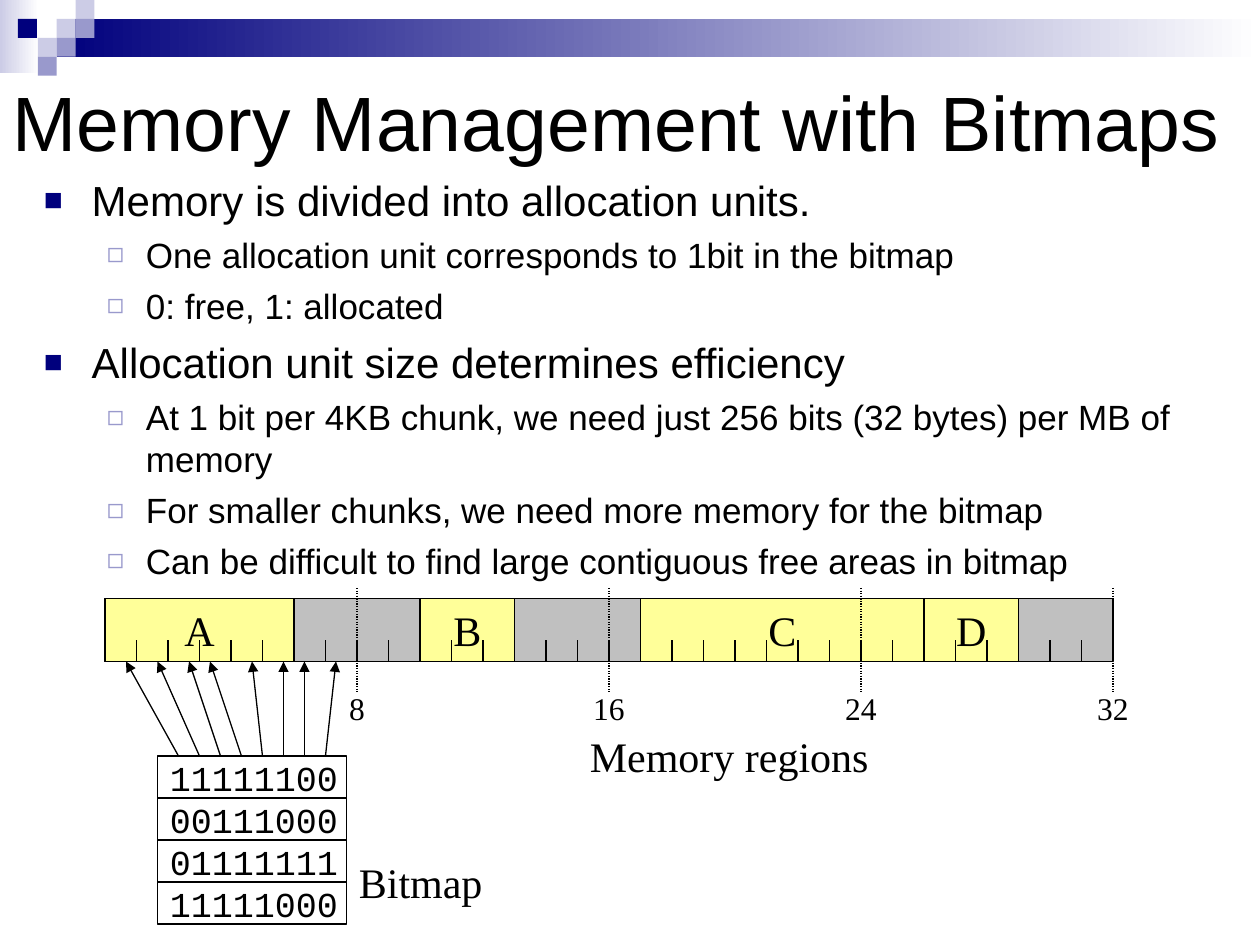
from dataclasses import dataclass

from lxml import etree
from pptx import Presentation
from pptx import util as u
from pptx.dml.color import RGBColor
from pptx.enum import dml, shapes, text
from pptx.oxml.ns import qn

COLUMNS, ROWS = 120, 90  # the slide grid: twelve cells to the inch
CELL = u.Inches(10) / COLUMNS


@dataclass(frozen=True)
class Theme:
    ink: str = "000000"
    paper: str = "FFFFFF"
    navy: str = "00007D"
    violet: str = "9999CC"
    lavender: str = "CCCCE6"
    used: str = "FFFF99"
    free: str = "C0C0C0"
    sans: str = "Arial"
    serif: str = "Times New Roman"
    mono: str = "Courier New"
    title: float = 44
    large: float = 24
    medium: float = 20
    small: float = 18
    line: float = 0.75


@dataclass(frozen=True)
class Box:
    left: float
    top: float
    width: float
    height: float

    def lengths(self) -> list[int]:
        return [round(n * CELL) for n in (self.left, self.top, self.width, self.height)]


@dataclass(frozen=True)
class Region:
    name: str
    start: int
    units: int


@dataclass(frozen=True)
class Level:
    bullet: str
    color: str
    percent: int
    size: float
    before: float
    margin: float
    hanging: float


THEME = Theme()
LEVELS = (
    Level("■", THEME.navy, 75, THEME.large, 6, 0.38, 0.38),
    Level("◻", THEME.violet, 80, THEME.medium, 5, 0.81, 0.31),
)
POINTS = (
    (0, "Memory is divided into allocation units."),
    (1, "One allocation unit corresponds to 1bit in the bitmap"),
    (1, "0: free, 1: allocated"),
    (0, "Allocation unit size determines efficiency"),
    (1, "At 1 bit per 4KB chunk, we need just 256 bits (32 bytes) per MB of memory"),
    (1, "For smaller chunks, we need more memory for the bitmap"),
    (1, "Can be difficult to find large contiguous free areas in bitmap"),
)
REGIONS = (Region("A", 0, 6), Region("B", 10, 3), Region("C", 17, 9), Region("D", 26, 3))
BITMAP = ("11111100", "00111000", "01111111", "11111000")
ARROW_TARGETS = (12, 15, 18, 20, 24, 27, 29, 32)

SQUARE = 1.8
HEADER_SQUARES = (  # column, row, colour
    (3, 1, THEME.lavender), (4, 0, THEME.lavender), (4, 1, THEME.violet),
    (2, 2, THEME.lavender), (0.95, 1, THEME.navy), (3, 2, THEME.violet),
    (2, 3, THEME.violet),
)
UNITS, UNIT, BYTE = 32, 3, 8
MEMORY = Box(10, 57, UNITS * UNIT, 6)
MEMORY_BOTTOM = MEMORY.top + MEMORY.height
BYTES = Box(15, 72, 18, 4)


def rgb(color: str) -> RGBColor:
    return RGBColor.from_string(color)


def set_font(paragraph, name: str, size: float) -> None:
    paragraph.font.name = name
    paragraph.font.size = u.Pt(size)
    paragraph.font.color.rgb = rgb(THEME.ink)


def add_rectangle(slide, box: Box, fill: str, fade: bool = False, outlined: bool = False):
    shape = slide.shapes.add_shape(shapes.MSO_SHAPE.RECTANGLE, *box.lengths())
    shape.shadow.inherit = False
    if fade:
        shape.fill.gradient()
        shape.fill.gradient_angle = 0
        for stop, color in zip(shape.fill.gradient_stops, (fill, THEME.paper)):
            stop.color.rgb = rgb(color)
    else:
        shape.fill.solid()
        shape.fill.fore_color.rgb = rgb(fill)
    if outlined:
        shape.line.color.rgb = rgb(THEME.ink)
        shape.line.width = u.Pt(THEME.line)
    else:
        shape.line.fill.background()
    return shape


def write(shape, words: str, font: str, size: float, centred: bool = False) -> None:
    shape.text_frame.word_wrap = False
    paragraph = shape.text_frame.paragraphs[0]
    paragraph.text = words
    paragraph.alignment = text.PP_ALIGN.CENTER if centred else text.PP_ALIGN.LEFT
    set_font(paragraph, font, size)


def add_label(slide, box: Box, words: str, size: float, centred: bool = False) -> None:
    write(slide.shapes.add_textbox(*box.lengths()), words, THEME.serif, size, centred)


def add_line(slide, start: tuple, end: tuple, dotted: bool = False, arrow: bool = False) -> None:
    ends = [round(n * CELL) for n in (*start, *end)]
    connector = slide.shapes.add_connector(shapes.MSO_CONNECTOR.STRAIGHT, *ends)
    connector.line.color.rgb = rgb(THEME.ink)
    connector.line.width = u.Pt(THEME.line)
    if dotted:
        connector.line.dash_style = dml.MSO_LINE.ROUND_DOT
    if arrow:
        etree.SubElement(connector.line._get_or_add_ln(), qn("a:tailEnd"), type="triangle")
    etree.SubElement(connector._element.spPr, qn("a:effectLst"))


def add_bullet(paragraph, level: Level) -> None:
    properties = paragraph._p.get_or_add_pPr()
    properties.set("marL", str(u.Inches(level.margin)))
    properties.set("indent", str(-u.Inches(level.hanging)))
    color = etree.SubElement(properties, qn("a:buClr"))
    etree.SubElement(color, qn("a:srgbClr"), val=level.color)
    etree.SubElement(properties, qn("a:buSzPct"), val=str(level.percent * 1000))
    etree.SubElement(properties, qn("a:buFont"), typeface=THEME.sans)
    etree.SubElement(properties, qn("a:buChar"), char=level.bullet)


def add_header(slide) -> None:
    add_rectangle(slide, Box(0, 0, 3.7, 7), THEME.lavender, fade=True)
    add_rectangle(slide, Box(3 * SQUARE, SQUARE, COLUMNS - 3 * SQUARE, 2 * SQUARE), THEME.navy, fade=True)
    for column, row, color in HEADER_SQUARES:
        add_rectangle(slide, Box(column * SQUARE, row * SQUARE, SQUARE, SQUARE), color)


def add_title(slide) -> None:
    title = slide.shapes.title
    title.left, title.top, title.width, title.height = Box(0, 6, COLUMNS, 11).lengths()
    write(title, "Memory Management with Bitmaps", THEME.sans, THEME.title)
    title.text_frame.word_wrap = True
    title.text_frame.auto_size = text.MSO_AUTO_SIZE.NONE
    title.text_frame.vertical_anchor = text.MSO_ANCHOR.MIDDLE


def add_points(slide) -> None:
    frame = slide.shapes.add_textbox(*Box(3, 16, 113, 42).lengths()).text_frame
    frame.word_wrap = True
    for index, (depth, words) in enumerate(POINTS):
        paragraph = frame.add_paragraph() if index else frame.paragraphs[0]
        level = LEVELS[depth]
        paragraph.text = words
        paragraph.level = depth
        add_bullet(paragraph, level)
        if index:
            paragraph.space_before = u.Pt(level.before)
        set_font(paragraph, THEME.sans, level.size)


def add_memory(slide) -> None:
    add_rectangle(slide, MEMORY, THEME.free, outlined=True)
    for region in REGIONS:
        box = Box(MEMORY.left + region.start * UNIT, MEMORY.top, region.units * UNIT, MEMORY.height)
        write(add_rectangle(slide, box, THEME.used, outlined=True), region.name, THEME.serif, THEME.large, True)
    for unit in range(1, UNITS + 1):
        x = MEMORY.left + unit * UNIT
        if unit < UNITS:
            add_line(slide, (x, MEMORY_BOTTOM - 2), (x, MEMORY_BOTTOM))
        if unit % BYTE == 0:
            add_line(slide, (x, MEMORY.top - 1), (x, MEMORY_BOTTOM + 3), dotted=True)
            add_label(slide, Box(x - 3, 65, 6, 4.8), str(unit), THEME.small, True)
    add_label(slide, Box(55, 69, 30, 6), "Memory regions", THEME.large)


def add_bitmap(slide) -> None:
    for row, bits in enumerate(BITMAP):
        box = Box(BYTES.left, BYTES.top + row * BYTES.height, BYTES.width, BYTES.height)
        write(add_rectangle(slide, box, THEME.paper, outlined=True), bits, THEME.mono, THEME.medium)
    for bit, target in enumerate(ARROW_TARGETS):
        add_line(slide, (BYTES.left + 2 * (bit + 1), BYTES.top), (target, MEMORY_BOTTOM), arrow=True)
    add_label(slide, Box(33, 81, 15, 6), "Bitmap", THEME.large)


def main() -> None:
    presentation = Presentation()
    presentation.slide_width, presentation.slide_height = round(COLUMNS * CELL), round(ROWS * CELL)
    slide = presentation.slides.add_slide(presentation.slide_layouts[5])
    for add_part in (add_header, add_title, add_points, add_memory, add_bitmap):
        add_part(slide)
    presentation.save("out.pptx")


if __name__ == "__main__":
    main()
